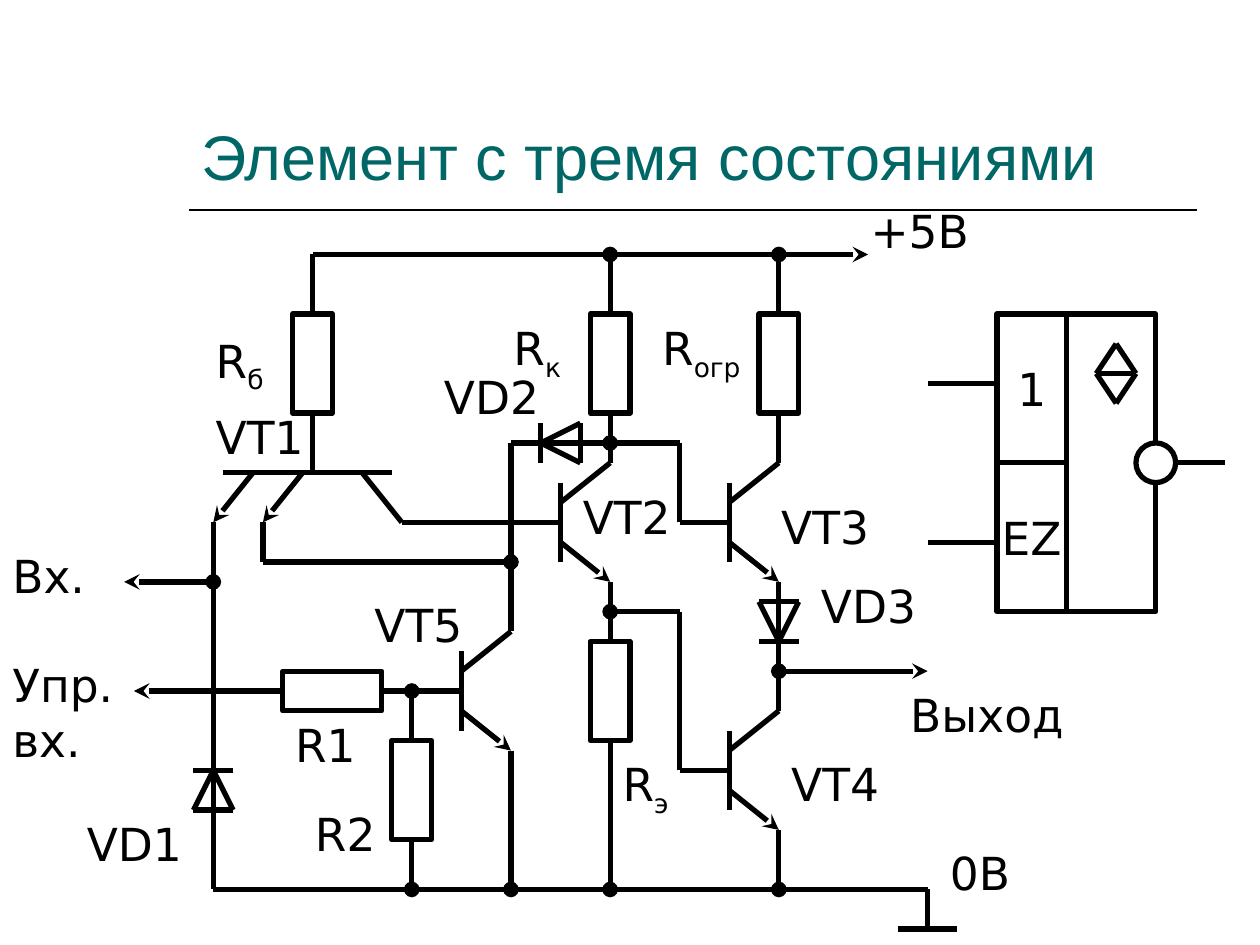
from itertools import pairwise

from lxml.etree import SubElement
from pptx import Presentation
from pptx.dml.color import RGBColor
from pptx.enum.shapes import MSO_CONNECTOR, MSO_SHAPE
from pptx.enum.text import MSO_ANCHOR, MSO_AUTO_SIZE, PP_ALIGN
from pptx.oxml.ns import qn
from pptx.util import Cm, Pt

"""Circuit of a three-state logic element and its symbol, laid out in centimetres."""

BLACK, WHITE, TEAL = "000000", "FFFFFF", "006666"
SUPPLY, GROUND = 5.13, 17.93
TITLE = "Элемент с тремя состояниями"
LABEL_FONT = {"name": "DejaVu Sans", "size": Pt(26)}
TITLE_FONT = {"name": "Arial", "size": Pt(36)}

LABELS = [
    ("+5В", "", 17.3, 3.96, 2.6), ("Вх.", "", 0, 10.93, 2.6), ("Упр.вх.", "", 0, 13.13, 2.6),
    ("R", "б", 4.1, 6.58, 1.8), ("R", "к", 10.1, 6.33, 1.8), ("R", "огр", 13.1, 6.33, 2.2),
    ("R", "э", 12.3, 15.12, 1.8), ("R1", "", 5.7, 14.33, 1.8), ("R2", "", 6.1, 16.13, 1.8),
    ("VT1", "", 4.1, 8.13, 2.6), ("VT2", "", 11.5, 9.73, 2.6), ("VT3", "", 15.5, 9.93, 2.6),
    ("VT4", "", 15.7, 15.12, 2.6), ("VT5", "", 7.3, 11.92, 2.6), ("VD1", "", 1.5, 16.33, 2.8),
    ("VD2", "", 8.7, 7.32, 2.8), ("VD3", "", 16.3, 11.53, 2.6),
    ("Выход", "", 18.1, 13.72, 3.7), ("0В", "", 18.9, 16.92, 2.6),
]
RESISTORS = [(6.3, 7.33, 0), (12.3, 7.33, 0), (15.7, 7.33, 0),
             (12.3, 13.93, 0), (8.3, 15.93, 0), (6.7, 13.93, 270)]
TRANSISTORS = [(11.3, 10.53), (14.7, 10.53), (14.7, 15.53), (9.3, 13.93)]
DIODES = [(4.3, 15.53, 0, 1), (15.7, 12.93, 0, -1), (10.9, 8.93, 1, 0)]
SYMBOL_CELLS = [(20.1, 6.33, 1.4, 3, "1"), (21.5, 6.33, 1.8, 6, ""), (20.1, 9.33, 1.4, 3, "EZ")]

WIRES = [
    ([(17.5, SUPPLY), (6.3, SUPPLY), (6.3, 6.33)], "stealth", None),
    ([(12.3, 6.33), (12.3, SUPPLY)], None, "oval"),
    ([(15.7, 6.33), (15.7, SUPPLY)], None, "oval"),
    ([(6.3, 8.33), (6.3, 9.53)], None, None),
    ([(4.5, 9.53), (7.9, 9.53)], None, None),
    ([(5.1, 9.53), (4.3, 10.53)], None, "stealth"),
    ([(6.1, 9.53), (5.3, 10.53)], None, "stealth"),
    ([(7.3, 9.53), (8.1, 10.53), (11.3, 10.53)], None, None),
    ([(4.3, 10.53), (4.3, 11.73), (2.5, 11.73)], None, "stealth"),
    ([(4.3, GROUND), (4.3, 11.73)], None, "oval"),
    ([(5.3, 10.53), (5.3, 11.33), (10.3, 11.33)], None, "oval"),
    ([(10.3, 12.73), (10.3, 8.93), (12.3, 8.93)], None, None),
    ([(12.3, 8.33), (12.3, 9.33)], None, None),
    ([(14.7, 10.53), (13.7, 10.53), (13.7, 8.93), (12.3, 8.93)], None, "oval"),
    ([(14.7, 15.53), (13.7, 15.53), (13.7, 12.33), (12.3, 12.33)], None, "oval"),
    ([(12.3, 11.73), (12.3, 12.93)], None, None),
    ([(12.3, 14.93), (12.3, GROUND)], None, "oval"),
    ([(15.7, 8.33), (15.7, 9.33)], None, None),
    ([(15.7, 11.73), (15.7, 14.33)], None, None),
    ([(15.7, 16.73), (15.7, GROUND)], None, "oval"),
    ([(18.7, 13.53), (15.7, 13.53)], "stealth", "oval"),
    ([(7.7, 13.93), (9.3, 13.93)], None, None),
    ([(5.7, 13.93), (2.7, 13.93)], None, "stealth"),
    ([(8.3, 14.93), (8.3, 13.93)], None, "oval"),
    ([(8.3, 16.93), (8.3, GROUND)], None, "oval"),
    ([(10.3, 15.13), (10.3, GROUND)], None, "oval"),
    ([(4.3, GROUND), (18.7, GROUND), (18.7, 18.73)], None, None),
    ([(18.1, 18.73), (19.3, 18.73)], None, None),
    ([(18.7, 7.73), (20.1, 7.73)], None, None),
    ([(18.7, 10.93), (20.1, 10.93)], None, None),
    ([(23.3, 9.33), (24.7, 9.33)], None, None),
    ([(22.5, 6.93), (22.9, 7.53), (22.5, 8.13), (22.1, 7.53), (22.5, 6.93)], None, None),
    ([(22.1, 7.53), (22.9, 7.53)], None, None),
]


def color(value):
    return RGBColor.from_string(value)


def draw_wire(slide, points, head=None, tail=None, width=3):
    segments = list(pairwise(points))
    for index, (start, end) in enumerate(segments):
        connector = slide.shapes.add_connector(
            MSO_CONNECTOR.STRAIGHT, *[Cm(value) for value in start + end])
        connector.line.color.rgb = color(BLACK)
        connector.line.width = Pt(width)
        properties = connector.line._get_or_add_ln()
        if head and index == 0:
            SubElement(properties, qn("a:headEnd"), type=head)
        if tail and index == len(segments) - 1:
            SubElement(properties, qn("a:tailEnd"), type=tail)
        SubElement(connector._element.spPr, qn("a:effectLst"))


def draw_block(slide, kind, left, top, width, height):
    shape = slide.shapes.add_shape(kind, Cm(left), Cm(top), Cm(width), Cm(height))
    shape.shadow.inherit = False
    shape.fill.solid()
    shape.fill.fore_color.rgb = color(WHITE)
    shape.line.color.rgb = color(BLACK)
    shape.line.width = Pt(3)
    return shape


def write(paragraph, text, font_format, ink, subscript=False):
    run = paragraph.add_run()
    run.text = text
    for name, value in font_format.items():
        setattr(run.font, name, value)
    run.font.color.rgb = color(ink)
    if subscript:
        run.font._element.set("baseline", "-25000")


def add_text(slide, text, left, top, width, height, font_format, ink, frame_format):
    box = slide.shapes.add_textbox(Cm(left), Cm(top), Cm(width), Cm(height))
    for name, value in frame_format.items():
        setattr(box.text_frame, name, value)
    paragraph = box.text_frame.paragraphs[0]
    write(paragraph, text, font_format, ink)
    return paragraph


def draw_transistor(slide, x, y):
    draw_wire(slide, [(x, y - 0.8), (x, y + 0.8)])
    draw_wire(slide, [(x, y - 0.4), (x + 1, y - 1.2)])
    draw_wire(slide, [(x, y + 0.4), (x + 1, y + 1.2)], tail="stealth")


def draw_diode(slide, x, y, across, down):
    side_x, side_y = 0.4 * down, 0.4 * across
    base_x, base_y = x + 0.8 * across, y + 0.8 * down
    corners = [(base_x - side_x, base_y - side_y), (base_x + side_x, base_y + side_y)]
    draw_wire(slide, [(x - side_x, y - side_y), (x + side_x, y + side_y)])
    draw_wire(slide, [(x, y), *corners, (x, y)])


def main():
    presentation = Presentation()
    presentation.slide_width, presentation.slide_height = Cm(25.4), Cm(19.05)
    slide = presentation.slides.add_slide(presentation.slide_layouts[6])

    draw_wire(slide, [(3.81, 4.23), (24.13, 4.23)], width=1)
    add_text(slide, TITLE, 3.81, 0.84, 20.32, 3.18, TITLE_FONT, TEAL,
             {"word_wrap": True, "vertical_anchor": MSO_ANCHOR.BOTTOM})

    for x, y, rotation in RESISTORS:
        draw_block(slide, MSO_SHAPE.RECTANGLE, x - 0.4, y - 1, 0.8, 2).rotation = rotation
    for left, top, width, height, text in SYMBOL_CELLS:
        cell = draw_block(slide, MSO_SHAPE.RECTANGLE, left, top, width, height)
        if text:
            cell.text_frame.word_wrap = False
            cell.text_frame.vertical_anchor = MSO_ANCHOR.MIDDLE
            paragraph = cell.text_frame.paragraphs[0]
            paragraph.alignment = PP_ALIGN.CENTER
            write(paragraph, text, LABEL_FONT, BLACK)

    for points, head, tail in WIRES:
        draw_wire(slide, points, head, tail)
    for transistor in TRANSISTORS:
        draw_transistor(slide, *transistor)
    for diode in DIODES:
        draw_diode(slide, *diode)
    draw_block(slide, MSO_SHAPE.OVAL, 22.9, 8.93, 0.8, 0.8)

    for text, subscript, left, top, width in LABELS:
        paragraph = add_text(slide, text, left, top, width, 1.52 if subscript else 1.37,
                             LABEL_FONT, BLACK,
                             {"word_wrap": True, "auto_size": MSO_AUTO_SIZE.SHAPE_TO_FIT_TEXT})
        if subscript:
            write(paragraph, subscript, LABEL_FONT, BLACK, subscript=True)

    presentation.save("out.pptx")


if __name__ == "__main__":
    main()
